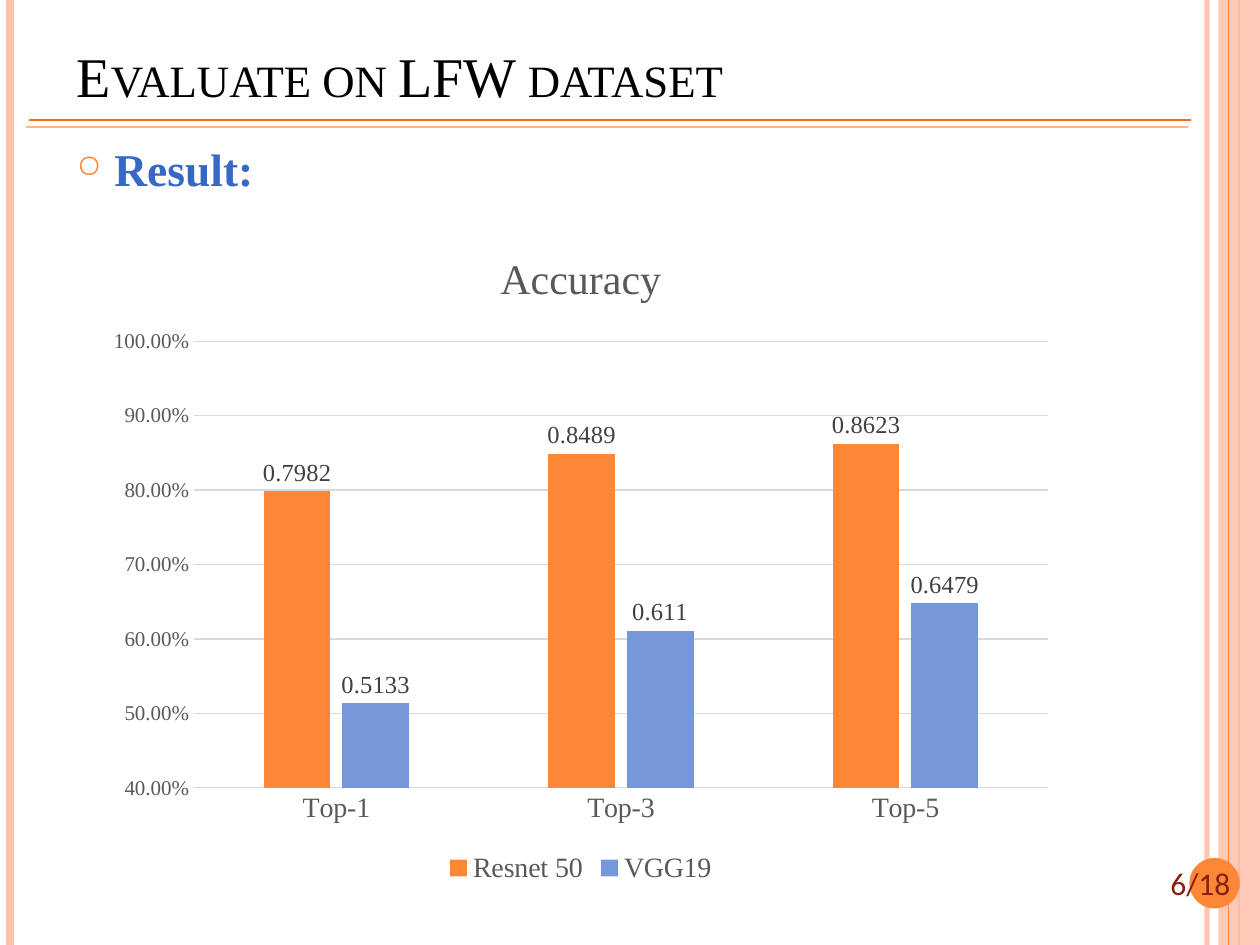
from dataclasses import dataclass

from lxml.etree import SubElement
from pptx import Presentation
from pptx.chart.data import CategoryChartData
from pptx.dml.color import RGBColor
from pptx.enum.chart import XL_CHART_TYPE, XL_LABEL_POSITION, XL_LEGEND_POSITION, XL_TICK_MARK
from pptx.enum.shapes import MSO_CONNECTOR, MSO_SHAPE
from pptx.enum.text import MSO_ANCHOR
from pptx.oxml.ns import qn
from pptx.util import Emu, Inches, Pt

COLUMNS, ROWS = 100, 75
SERIF = "Times New Roman"
ORANGE, PEACH, BLUE = "FE8637", "FEC3AE", "7598D9"
GREY, GRID_GREY = "595959", "D9D9D9"

deck = Presentation()
deck.slide_width, deck.slide_height = Inches(10), Inches(7.5)
page = deck.slides.add_slide(deck.slide_layouts[6])


@dataclass(frozen=True)
class Area:
    """A rectangle in grid columns and rows."""
    column: float
    row: float
    columns: float
    rows: float

    def lengths(self) -> tuple[Emu, Emu, Emu, Emu]:
        return across(self.column), down(self.row), across(self.columns), down(self.rows)


@dataclass(frozen=True)
class Rule:
    """A straight line between two grid points."""
    start: tuple[float, float]
    end: tuple[float, float]
    color: str
    weight: float
    opacity: int = 100


@dataclass(frozen=True)
class Model:
    name: str
    accuracy: tuple[float, ...]
    color: str


def across(columns: float) -> Emu:
    return Emu(round(deck.slide_width * columns / COLUMNS))


def down(rows: float) -> Emu:
    return Emu(round(deck.slide_height * rows / ROWS))


def paint(target, color: str, opacity: int = 100) -> None:
    """Give a fill a solid colour, with opacity in percent."""
    target.solid()
    target.fore_color.rgb = RGBColor.from_string(color)
    if opacity < 100:
        choice = target._xPr.find(qn("a:solidFill"))[0]
        SubElement(choice, qn("a:alpha"), val=str(opacity * 1000))


def set_font(font, size: float, color: str, name: str = SERIF, bold: bool = False) -> None:
    font.size, font.name, font.bold = Pt(size), name, bold
    paint(font.fill, color)


def draw_rule(rule: Rule):
    line = page.shapes.add_connector(
        MSO_CONNECTOR.STRAIGHT, across(rule.start[0]), down(rule.start[1]),
        across(rule.end[0]), down(rule.end[1]))
    line.line.width = Pt(rule.weight)
    paint(line.line.fill, rule.color, rule.opacity)
    SubElement(line._element.spPr, qn("a:effectLst"))
    return line


def draw_shape(kind: MSO_SHAPE, area: Area, color: str, opacity: int = 100):
    shape = page.shapes.add_shape(kind, *area.lengths())
    shape.shadow.inherit = False
    paint(shape.fill, color, opacity)
    shape.line.fill.background()
    return shape


def add_text(text: str, area: Area, *, size: float, color: str, name: str = SERIF,
             bold: bool = False, small_caps: bool = False, bullet: str = "",
             anchor: MSO_ANCHOR = MSO_ANCHOR.TOP) -> None:
    box = page.shapes.add_textbox(*area.lengths())
    frame = box.text_frame
    frame.word_wrap, frame.vertical_anchor = True, anchor
    para = frame.paragraphs[0]
    if bullet:
        properties = para._p.get_or_add_pPr()
        properties.set("marL", str(across(3)))
        properties.set("indent", str(-across(3)))
        bullet_color = SubElement(properties, qn("a:buClr"))
        SubElement(bullet_color, qn("a:srgbClr"), val=ORANGE)
        SubElement(properties, qn("a:buSzPct"), val="70000")
        SubElement(properties, qn("a:buChar"), char=bullet)
    span = para.add_run()
    span.text = text
    set_font(span.font, size, color, name, bold)
    if small_caps:
        span.font._element.set("cap", "small")


def add_accuracy_chart(area: Area, categories: tuple[str, ...], models: list[Model]) -> None:
    data = CategoryChartData()
    data.categories = categories
    for model in models:
        data.add_series(model.name, model.accuracy)
    chart = page.shapes.add_chart(
        XL_CHART_TYPE.COLUMN_CLUSTERED, *area.lengths(), data).chart
    set_font(chart.font, 10, "000000")

    chart.has_title = True
    heading = chart.chart_title.text_frame
    heading.text = "Accuracy"
    set_font(heading.paragraphs[0].runs[0].font, 24, GREY)
    chart.has_legend = True
    chart.legend.position = XL_LEGEND_POSITION.BOTTOM
    chart.legend.include_in_layout = False
    set_font(chart.legend.font, 16, GREY)

    for axis, size in ((chart.category_axis, 16), (chart.value_axis, 12)):
        axis.major_tick_mark = axis.minor_tick_mark = XL_TICK_MARK.NONE
        set_font(axis.tick_labels.font, size, GREY)
    values = chart.value_axis
    values.minimum_scale, values.maximum_scale, values.major_unit = 0.4, 1, 0.1
    values.tick_labels.number_format = "0.00%"
    values.tick_labels.number_format_is_linked = False
    values.format.line.fill.background()
    for line in (chart.category_axis.format.line, values.major_gridlines.format.line):
        line.width = Pt(0.75)
        paint(line.fill, GRID_GREY)

    plot = chart.plots[0]
    plot.gap_width, plot.overlap, plot.vary_by_categories = 209, -18, False
    for series, model in zip(plot.series, models):
        paint(series.format.fill, model.color)
        labels = series.data_labels
        labels.show_value = True
        labels.number_format, labels.number_format_is_linked = "General", False
        labels.position = XL_LABEL_POSITION.OUTSIDE_END
        set_font(labels.font, 14, "404040")


def main() -> None:
    draw_rule(Rule((95.8, 0), (95.8, ROWS), PEACH, 3, 93))
    draw_rule(Rule((0.8, 0), (0.8, ROWS), PEACH, 4.5))
    band_line = draw_rule(Rule((98.3, 0), (98.3, ROWS), ORANGE, 1.5))
    band = draw_shape(MSO_SHAPE.RECTANGLE, Area(96.7, 0, 3.3, ROWS), PEACH, 87)
    band_line.begin_connect(band, 0)
    band_line.end_connect(band, 2)
    for rule in (Rule((97.5, 0), (97.5, ROWS), ORANGE, 0.75),
                 Rule((2.3, 9.5), (94.5, 9.5), "FF6B0A", 1),
                 Rule((2.1, 10.1), (94.3, 10.1), "FEB687", 1)):
        draw_rule(rule)
    draw_shape(MSO_SHAPE.OVAL, Area(94.4, 68.1, 4, 4), ORANGE)
    add_text("6/18", Area(91.9, 68.1, 8.1, 4), size=18, color="862110", name="Calibri")

    add_text("Evaluate on LFW dataset", Area(5.1, 1.3, 81.7, 7.8), size=32,
             color="000000", small_caps=True, anchor=MSO_ANCHOR.BOTTOM)
    add_text("Result:", Area(5.1, 10.7, 89, 6), size=26, color="3668C4",
             bold=True, bullet="○")
    add_accuracy_chart(
        Area(7.5, 17.8, 77.2, 52.8), ("Top-1", "Top-3", "Top-5"),
        [Model("Resnet 50", (0.7982, 0.8489, 0.8623), ORANGE),
         Model("VGG19", (0.5133, 0.611, 0.6479), BLUE)])
    deck.save("out.pptx")


if __name__ == "__main__":
    main()
